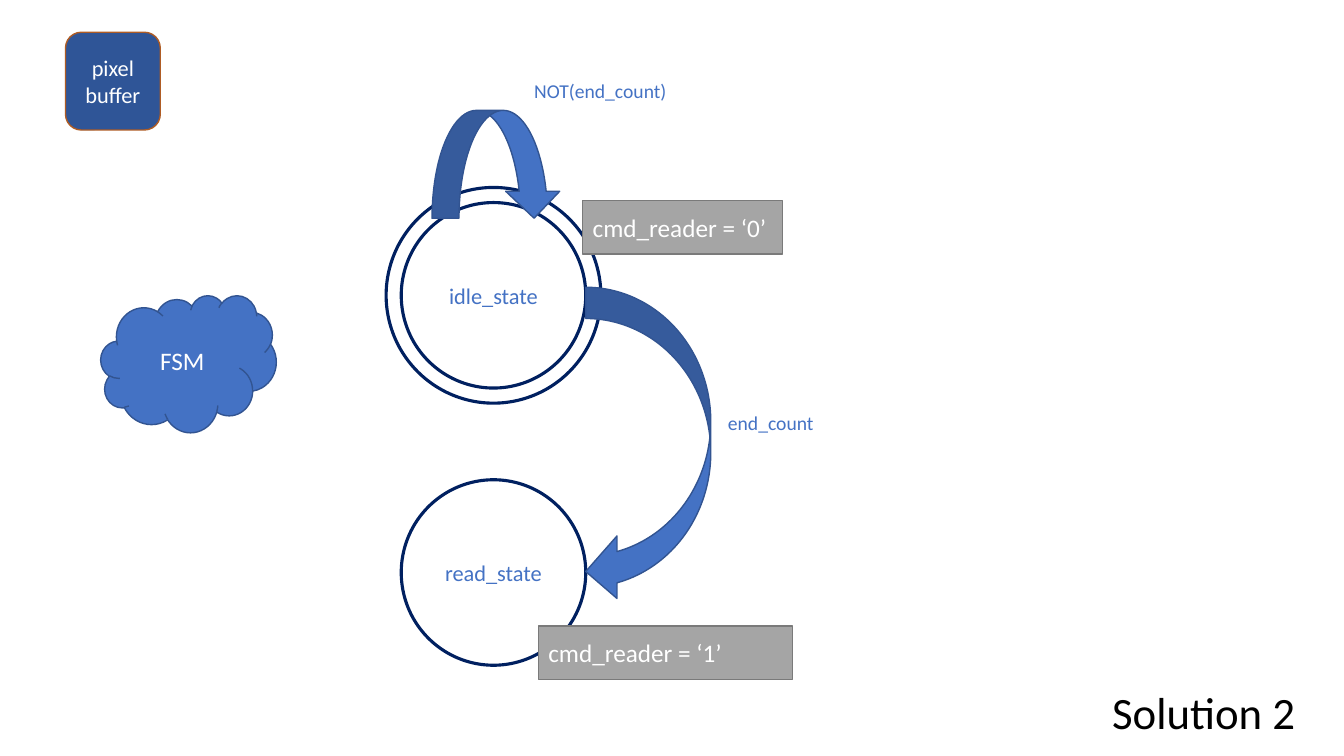
from pptx import Presentation
from pptx.dml.color import RGBColor
from pptx.enum import shapes, text
from pptx.util import Inches, Pt

WHITE = RGBColor(0xFF, 0xFF, 0xFF)
BLACK = RGBColor(0x00, 0x00, 0x00)
NAVY = RGBColor(0x00, 0x20, 0x60)
BLUE = RGBColor(0x44, 0x72, 0xC4)
BLUE_EDGE = RGBColor(0x32, 0x54, 0x91)
DARK_BLUE = RGBColor(0x2F, 0x55, 0x97)
RUST = RGBColor(0xAF, 0x5C, 0x24)
GRAY = RGBColor(0xA5, 0xA5, 0xA5)
GRAY_EDGE = RGBColor(0x7A, 0x7A, 0x7A)
FONT = "Calibri"
CENTER, LEFT = text.PP_ALIGN.CENTER, text.PP_ALIGN.LEFT
KIND = shapes.MSO_SHAPE

# Content: boxes are left, top, width, height in inches
TITLE = ("Solution 2", (10.93, 6.74, 2.04, 0.64))
STATE_X = 4.895
STATE_SIZE = (1.83, 1.84)
RING_GAP = 0.15
STATES = [("idle_state", 2.93, True), ("read_state", 5.68, False)]  # name, centre y, initial
ARROWS = [((5.81, 2.85, 1.24, 3.13), 0), ((4.39, 0.99, 1.07, 1.28), 270)]
CONDITIONS = [("end_count", (6.95, 4.03, 1.39, 0.34)),
              ("NOT(end_count)", (4.89, 0.73, 2.13, 0.34))]
OUTPUTS = [("cmd_reader = ‘0’", (5.78, 1.99, 1.98, 0.53)),
           ("cmd_reader = ‘1’", (5.34, 6.21, 2.52, 0.53))]
MACHINE = ("FSM", (1, 2.93, 1.74, 1.36))
MODULE = ("pixel\nbuffer", (0.65, 0.32, 0.94, 0.97))


def write(shape, words, size, color, align=CENTER, anchor=text.MSO_ANCHOR.MIDDLE, wrap=True):
    frame = shape.text_frame
    frame.text = words
    frame.word_wrap = wrap
    frame.vertical_anchor = anchor
    for paragraph in frame.paragraphs:
        paragraph.alignment = align
        paragraph.font.name = FONT
        paragraph.font.size = Pt(size)
        paragraph.font.color.rgb = color


def add_figure(slide, kind, box, fill, line, width=1):
    shape = slide.shapes.add_shape(kind, *map(Inches, box))
    shape.shadow.inherit = False
    shape.fill.solid()
    shape.fill.fore_color.rgb = fill
    shape.line.color.rgb = line
    shape.line.width = Pt(width)
    return shape


def add_circle(slide, center_y, gap=0):
    width, height = (side + 2 * gap for side in STATE_SIZE)
    box = (STATE_X - width / 2, center_y - height / 2, width, height)
    return add_figure(slide, KIND.OVAL, box, WHITE, NAVY, 2.25)


def main():
    presentation = Presentation()
    presentation.slide_width, presentation.slide_height = Inches(13.33), Inches(7.5)
    slide = presentation.slides.add_slide(presentation.slide_layouts[5])

    # Title
    words, box = TITLE
    title = slide.shapes.title
    title.left, title.top, title.width, title.height = map(Inches, box)
    write(title, words, 32, BLACK, LEFT, text.MSO_ANCHOR.TOP, wrap=False)
    title.text_frame.auto_size = text.MSO_AUTO_SIZE.NONE

    # States, the initial one with an outer ring
    for name, center_y, initial in STATES:
        if initial:
            add_circle(slide, center_y, RING_GAP)
        write(add_circle(slide, center_y), name, 16, BLUE)

    # Transitions and their conditions
    for (box, rotation), (condition, label_box) in zip(ARROWS, CONDITIONS):
        arrow = add_figure(slide, KIND.CURVED_LEFT_ARROW, box, BLUE, BLUE_EDGE)
        arrow.rotation = rotation
        label = slide.shapes.add_textbox(*map(Inches, label_box))
        write(label, condition, 14, BLUE, anchor=text.MSO_ANCHOR.TOP)

    # Machine, outputs and module
    words, box = MACHINE
    write(add_figure(slide, KIND.CLOUD, box, BLUE, BLUE_EDGE), words, 18, WHITE)
    for words, box in OUTPUTS:
        output = add_figure(slide, KIND.RECTANGLE, box, GRAY, GRAY_EDGE)
        write(output, words, 18, WHITE, LEFT)
    words, box = MODULE
    module = add_figure(slide, KIND.ROUNDED_RECTANGLE, box, DARK_BLUE, RUST)
    write(module, words, 16, WHITE)

    presentation.save("out.pptx")


if __name__ == "__main__":
    main()
